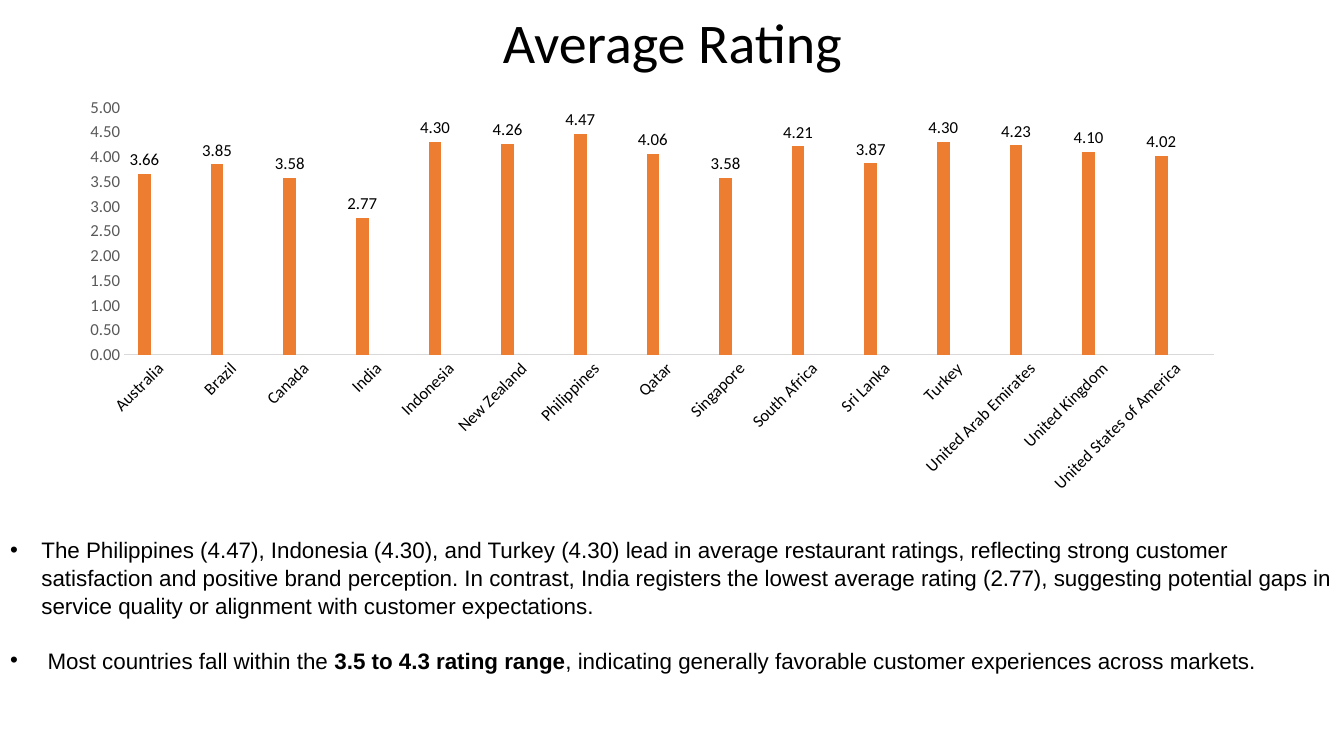
from dataclasses import dataclass

import pptx
import pptx.chart.data
import pptx.dml.color
import pptx.enum.chart
import pptx.enum.text
import pptx.oxml
import pptx.oxml.ns
import pptx.util
from pptx.util import Cm

COLORS = {
    "text": "000000",
    "scale": "595959",
    "axis": "D9D9D9",
    "rating": "ED7D31",
    "second": "FFC000",
    "third": "70AD47",
}

RATINGS = {
    "Australia": 3.66,
    "Brazil": 3.85,
    "Canada": 3.58,
    "India": 2.77,
    "Indonesia": 4.30,
    "New Zealand": 4.26,
    "Philippines": 4.47,
    "Qatar": 4.06,
    "Singapore": 3.58,
    "South Africa": 4.21,
    "Sri Lanka": 3.87,
    "Turkey": 4.30,
    "United Arab Emirates": 4.23,
    "United Kingdom": 4.10,
    "United States of America": 4.02,
}

PLOT_AREA = {"x": 0.049, "y": 0.036, "w": 0.94, "h": 0.566}


@dataclass
class Span:
    text: str
    bold: bool = False


@dataclass
class Bullet:
    spans: list[Span]
    before: float = 0


@dataclass
class RatingSeries:
    name: str
    values: list[float | None]
    color: str


BULLETS = [
    Bullet([Span(
        "The Philippines (4.47), Indonesia (4.30), and Turkey (4.30) lead in average "
        "restaurant ratings, reflecting strong customer satisfaction and positive brand "
        "perception. In contrast, India registers the lowest average rating (2.77), "
        "suggesting potential gaps in service quality or alignment with customer "
        "expectations."
    )]),
    Bullet([
        Span(" Most countries fall within the "),
        Span("3.5 to 4.3 rating range", bold=True),
        Span(", indicating generally favorable customer experiences across markets."),
    ], before=19),
]

NO_VALUES = [None] * len(RATINGS)
SERIES = [
    RatingSeries("Series 1", list(RATINGS.values()), "rating"),
    RatingSeries("Series 2", NO_VALUES, "second"),
    RatingSeries("Series 3", NO_VALUES, "third"),
]


def rgb(name: str) -> pptx.dml.color.RGBColor:
    return pptx.dml.color.RGBColor.from_string(COLORS[name])


def set_font(font, family: str, size: float, color: str = "text", bold: bool = False) -> None:
    font.name = family
    font.size = pptx.util.Pt(size)
    font.color.rgb = rgb(color)
    font.bold = bold


def place(sp, left: float, top: float, width: float, height: float) -> None:
    sp.left, sp.top, sp.width, sp.height = Cm(left), Cm(top), Cm(width), Cm(height)


def add_title(s, text: str) -> None:
    sp = s.shapes.title
    place(sp, 2.34, 0, 29.21, 2.31)
    tf = sp.text_frame
    tf.auto_size = pptx.enum.text.MSO_AUTO_SIZE.NONE
    tf.vertical_anchor = pptx.enum.text.MSO_ANCHOR.MIDDLE
    p = tf.paragraphs[0]
    p.alignment = pptx.enum.text.PP_ALIGN.CENTER
    p.line_spacing = 0.9
    r = p.add_run()
    r.text = text
    set_font(r.font, "Calibri", 40)


def add_bullets(s, bullets: list[Bullet]) -> None:
    sp = s.placeholders[1]
    place(sp, 0, 13.36, 33.87, 4.88)
    tf = sp.text_frame
    tf.word_wrap = True
    tf.auto_size = pptx.enum.text.MSO_AUTO_SIZE.NONE
    tf.vertical_anchor = pptx.enum.text.MSO_ANCHOR.TOP
    for i, bullet in enumerate(bullets):
        p = tf.add_paragraph() if i else tf.paragraphs[0]
        pPr = p._p.get_or_add_pPr()
        pPr.set("marL", str(Cm(0.79)))
        pPr.set("indent", str(-Cm(0.79)))
        mark = pptx.oxml.parse_xml(
            f'<a:buChar {pptx.oxml.ns.nsdecls("a")} char="•"/>'
        )
        pPr.append(mark)
        p.line_spacing = 1.04
        p.space_before = pptx.util.Pt(bullet.before)
        p.space_after = pptx.util.Pt(0)
        for span in bullet.spans:
            r = p.add_run()
            r.text = span.text
            set_font(r.font, "Arial", 16, bold=span.bold)


def set_plot_area(chart) -> None:
    plot_area = chart.element.xpath(".//c:plotArea")[0]
    for layout in plot_area.xpath("./c:layout"):
        plot_area.remove(layout)
    modes = "".join(f'<c:{k}Mode val="edge"/>' for k in ("x", "y"))
    sizes = "".join(f'<c:{k} val="{v}"/>' for k, v in PLOT_AREA.items())
    plot_area.insert(0, pptx.oxml.parse_xml(
        f'<c:layout {pptx.oxml.ns.nsdecls("c")}><c:manualLayout>'
        f'<c:layoutTarget val="inner"/>{modes}{sizes}</c:manualLayout></c:layout>'
    ))


def format_axes(chart) -> None:
    countries, scale = chart.category_axis, chart.value_axis
    for axis, color in ((countries, "text"), (scale, "scale")):
        axis.has_major_gridlines = False
        axis.major_tick_mark = pptx.enum.chart.XL_TICK_MARK.NONE
        axis.minor_tick_mark = pptx.enum.chart.XL_TICK_MARK.NONE
        set_font(axis.tick_labels.font, "Calibri", 12, color)
    countries.format.line.color.rgb = rgb("axis")
    countries.format.line.width = pptx.util.Pt(0.75)
    chart.element.xpath(".//c:catAx/c:txPr/a:bodyPr")[0].set("rot", "-2700000")
    scale.format.line.fill.background()
    scale.minimum_scale, scale.maximum_scale, scale.major_unit = 0, 5, 0.5
    scale.tick_labels.number_format = "0.00"
    scale.tick_labels.number_format_is_linked = False


def add_rating_chart(s, series: list[RatingSeries]) -> None:
    data = pptx.chart.data.CategoryChartData(number_format="0.00")
    data.categories = list(RATINGS)
    for item in series:
        data.add_series(item.name, item.values)
    chart = s.shapes.add_chart(
        pptx.enum.chart.XL_CHART_TYPE.COLUMN_CLUSTERED,
        Cm(1.7), Cm(2.31), Cm(29.21), Cm(11.02), data,
    ).chart
    chart.has_title = False
    chart.has_legend = False
    set_font(chart.font, "Calibri", 10)
    plot = chart.plots[0]
    plot.gap_width, plot.overlap, plot.vary_by_categories = 219, -27, False
    for item, columns in zip(series, plot.series):
        columns.format.fill.solid()
        columns.format.fill.fore_color.rgb = rgb(item.color)
        labels = columns.data_labels
        labels.show_value = True
        labels.position = pptx.enum.chart.XL_LABEL_POSITION.OUTSIDE_END
        labels.number_format = "0.00"
        labels.number_format_is_linked = False
        set_font(labels.font, "Calibri", 12)
    format_axes(chart)
    set_plot_area(chart)


def main() -> None:
    prs = pptx.Presentation()
    prs.slide_width, prs.slide_height = Cm(33.87), Cm(19.05)
    s = prs.slides.add_slide(prs.slide_layouts[1])
    add_title(s, "Average Rating")
    add_rating_chart(s, SERIES)
    add_bullets(s, BULLETS)
    prs.save("out.pptx")


if __name__ == "__main__":
    main()
